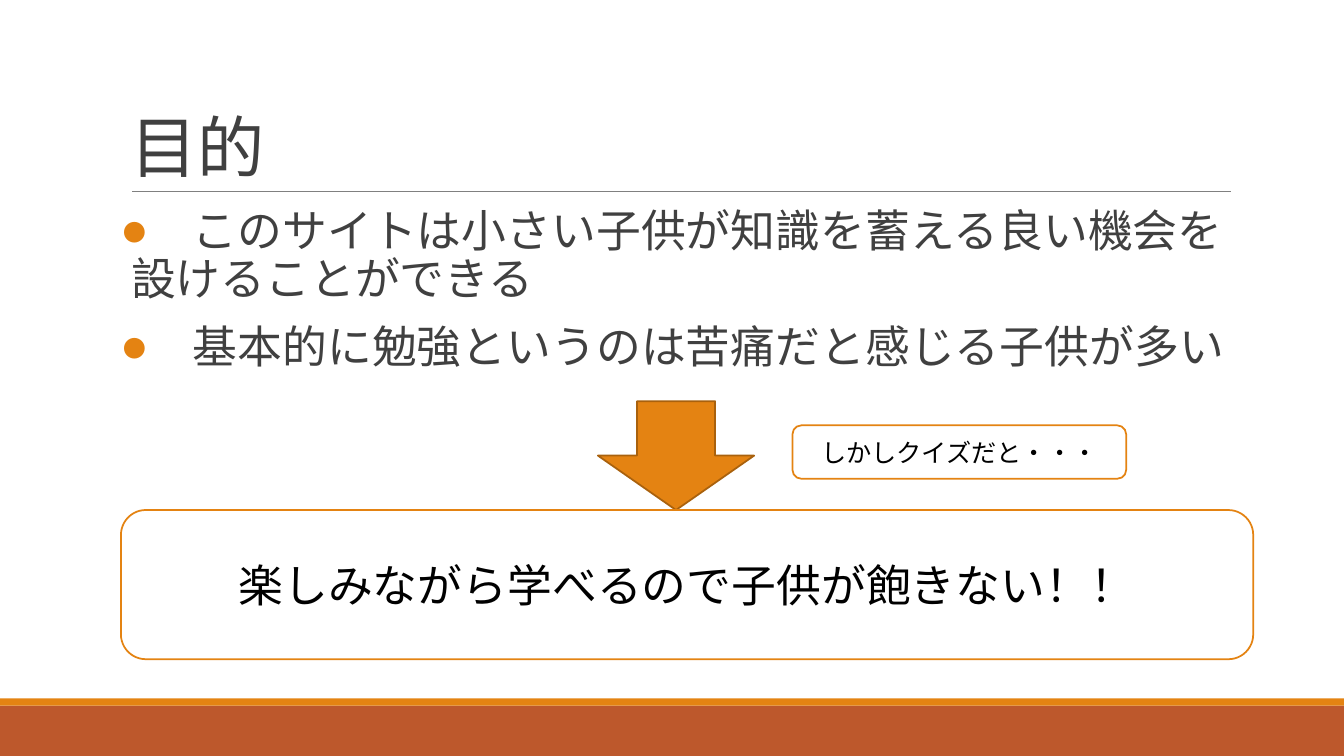
from dataclasses import dataclass

from lxml import etree
from pptx import Presentation
from pptx import util as u
from pptx.dml.color import RGBColor
from pptx.enum import shapes, text
from pptx.oxml import ns


@dataclass(frozen=True)
class Theme:
    font: str = "Calibri"
    orange: str = "E48312"
    dark_orange: str = "A9610D"
    rust: str = "BD582C"
    rule: str = "808080"
    heading: str = "404040"
    black: str = "000000"
    white: str = "FFFFFF"
    title_size: int = 48
    body_size: int = 32
    note_size: int = 18
    outline: float = 1.25
    hairline: float = 0.5


THEME = Theme()
KIND = shapes.MSO_SHAPE


def color(code):
    return RGBColor.from_string(code)


def inches(*lengths):
    return [u.Inches(length) for length in lengths]


def apply(target, values):
    for name, value in values.items():
        setattr(target, name, value)


def add_child(parent, tag, **attributes):
    return etree.SubElement(parent, ns.qn(tag), attributes)


def write(para, words, size, ink):
    """Put one styled span of text into a paragraph."""
    span = para.add_run()
    span.text = words
    apply(span.font, {"name": THEME.font, "size": u.Pt(size)})
    span.font.color.rgb = color(ink)
    return span


def add_panel(page, kind, place, fill, line=None):
    """Add a filled preset shape, outlined only if a line colour is given."""
    panel = page.shapes.add_shape(kind, *inches(*place))
    panel.shadow.inherit = False
    panel.fill.solid()
    panel.fill.fore_color.rgb = color(fill)
    if line:
        panel.line.color.rgb = color(line)
        panel.line.width = u.Pt(THEME.outline)
    else:
        panel.line.fill.background()
    return panel


def add_callout(page, place, words, size):
    """Add a white rounded box with centred text."""
    panel = add_panel(page, KIND.ROUNDED_RECTANGLE, place, THEME.white, THEME.orange)
    frame = panel.text_frame
    apply(frame, {"word_wrap": True, "vertical_anchor": text.MSO_ANCHOR.MIDDLE})
    para = frame.paragraphs[0]
    para.alignment = text.PP_ALIGN.CENTER
    write(para, words, size, THEME.black)


def add_rule(page, left, right, top):
    rule = page.shapes.add_connector(
        shapes.MSO_CONNECTOR.STRAIGHT, *inches(left, top, right, top))
    rule.line.color.rgb = color(THEME.rule)
    rule.line.width = u.Pt(THEME.hairline)
    add_child(rule._element.spPr, "a:effectLst")


def add_frame(page, place, **settings):
    frame = page.shapes.add_textbox(*inches(*place)).text_frame
    apply(frame, {"word_wrap": True, **settings})
    return frame


def add_title(page, place, words):
    frame = add_frame(page, place, vertical_anchor=text.MSO_ANCHOR.BOTTOM)
    para = frame.paragraphs[0]
    para.line_spacing = 0.85
    span = write(para, words, THEME.title_size, THEME.heading)
    span.font._element.set("spc", "-50")


def add_bullets(page, place, items):
    frame = add_frame(page, place, margin_left=0, margin_right=0)
    hang = u.Inches(0.1)
    for index, words in enumerate(items):
        para = frame.add_paragraph() if index else frame.paragraphs[0]
        apply(para, {"line_spacing": 0.9, "space_before": u.Pt(12),
                     "space_after": u.Pt(2)})
        layout = para._p.get_or_add_pPr()
        layout.set("marL", str(hang))
        layout.set("indent", str(-hang))
        add_child(add_child(layout, "a:buClr"), "a:srgbClr", val=THEME.orange)
        add_child(layout, "a:buFont", typeface=THEME.font)
        add_child(layout, "a:buChar", char="●")
        write(para, words, THEME.body_size, THEME.heading)


def main():
    deck = Presentation()
    apply(deck, {"slide_width": u.Inches(13.33), "slide_height": u.Inches(7.5)})
    page = deck.slides.add_slide(deck.slide_layouts[6])

    # Footer bands and title rule
    add_panel(page, KIND.RECTANGLE, (0, 7, 13.33, 0.5), THEME.rust)
    add_panel(page, KIND.RECTANGLE, (0, 6.93, 13.33, 0.07), THEME.orange)
    add_rule(page, 1.31, 12.21, 1.9)

    # Title and reasons
    add_title(page, (1.2, 0.31, 11, 1.59), "目的")
    add_bullets(page, (1.2, 2.02, 11, 4.4), [
        "\u3000このサイトは小さい子供が知識を蓄える良い機会を設けることができる",
        "\u3000基本的に勉強というのは苦痛だと感じる子供が多い",
    ])

    # Arrow leading to the conclusion
    add_panel(page, KIND.DOWN_ARROW, (5.93, 3.98, 1.55, 1.08),
              THEME.orange, THEME.dark_orange)
    add_callout(page, (7.86, 4.22, 3.31, 0.53), "しかしクイズだと・・・", THEME.note_size)
    add_callout(page, (1.2, 5.06, 11.23, 1.48),
                "楽しみながら学べるので子供が飽きない！！", THEME.body_size)

    deck.save("out.pptx")


main()
